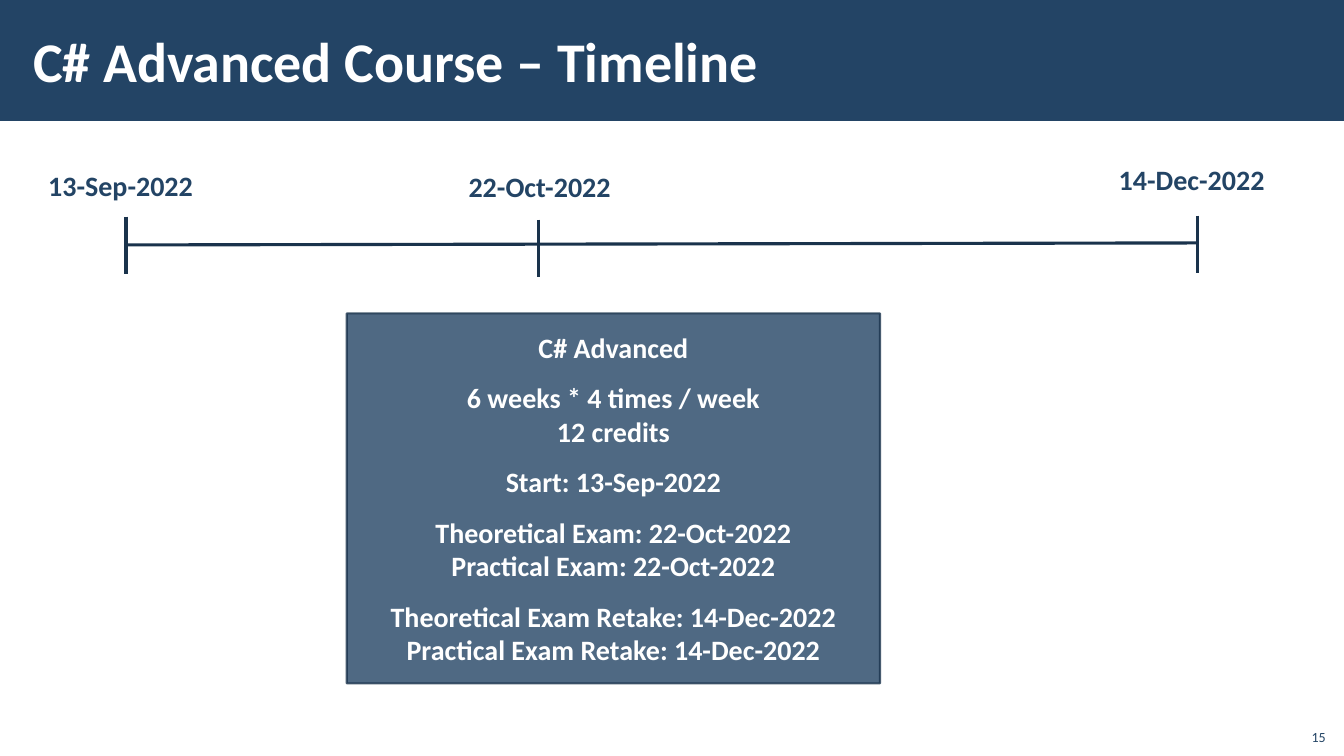
"""Build the course timeline slide."""
from dataclasses import dataclass

from lxml.etree import SubElement
from pptx import Presentation
from pptx.dml.color import RGBColor
from pptx.enum.shapes import MSO_CONNECTOR, MSO_SHAPE
from pptx.enum.text import MSO_ANCHOR, MSO_AUTO_SIZE, PP_ALIGN
from pptx.oxml.ns import qn
from pptx.shapes.autoshape import Shape
from pptx.slide import Slide
from pptx.text.text import TextFrame
from pptx.util import Inches, Length, Pt

NAVY = RGBColor(0x23, 0x44, 0x65)
DARK_NAVY = RGBColor(0x1A, 0x33, 0x4C)
WHITE = RGBColor(0xFF, 0xFF, 0xFF)

COLUMNS, ROWS = 133.33, 75
CELL = Inches(0.1)
TICK_HEIGHT = 5.65
LABEL_HEIGHT = 4.4
OPACITY = 80

TITLE_FONT = {"name": "Calibri", "size": Pt(40), "bold": True}
BODY_FONT = {"name": "Calibri", "size": Pt(20), "bold": True}
NUMBER_FONT = {"name": "Calibri", "size": Pt(10), "bold": False}
TITLE_FRAME = {"vertical_anchor": MSO_ANCHOR.MIDDLE, "word_wrap": True,
               "auto_size": MSO_AUTO_SIZE.NONE,
               "margin_left": Inches(0.12), "margin_right": Inches(0.12),
               "margin_top": Inches(0.04), "margin_bottom": Inches(0.04)}
LABEL_FRAME = {"word_wrap": True, "auto_size": MSO_AUTO_SIZE.SHAPE_TO_FIT_TEXT}
CARD_FRAME = {"word_wrap": True, "vertical_anchor": MSO_ANCHOR.MIDDLE}
NUMBER_FRAME = {"word_wrap": True, "vertical_anchor": MSO_ANCHOR.BOTTOM}


@dataclass(frozen=True)
class Area:
    """A rectangle in grid columns and rows."""
    column: float
    row: float
    width: float
    height: float

    def lengths(self) -> tuple[Length, ...]:
        """Return left, top, width and height."""
        return tuple(grid(value) for value in
                     (self.column, self.row, self.width, self.height))


@dataclass(frozen=True)
class Milestone:
    """A date with its label area and its tick on the axis."""
    date: str
    label: Area
    tick_column: float
    tick_row: float


MILESTONES = (
    Milestone("13-Sep-2022", Area(3.8, 16.2, 17.4, LABEL_HEIGHT), 12.5, 21.5),
    Milestone("22-Oct-2022", Area(45.5, 16.3, 24.1, LABEL_HEIGHT), 53.4, 21.8),
    Milestone("14-Dec-2022", Area(110, 15.6, 20.6, LABEL_HEIGHT), 118.8, 21.4),
)
COURSE_GROUPS = (
    ("C# Advanced",),
    ("6 weeks * 4 times / week", "12 credits"),
    ("Start: 13-Sep-2022",),
    ("Theoretical Exam: 22-Oct-2022", "Practical Exam: 22-Oct-2022"),
    ("Theoretical Exam Retake: 14-Dec-2022", "Practical Exam Retake: 14-Dec-2022"),
)


def grid(cells: float) -> Length:
    """Convert grid cells to a length."""
    return Length(round(cells * CELL))


def apply_format(target: object, values: dict) -> None:
    """Set every attribute in the format values."""
    for name, value in values.items():
        setattr(target, name, value)


def write_groups(frame: TextFrame, groups: tuple[tuple[str, ...], ...], frame_format: dict,
                 font: dict, color: RGBColor, alignment: PP_ALIGN = PP_ALIGN.LEFT) -> None:
    """Write groups of lines with a gap before each later group."""
    apply_format(frame, frame_format)
    lines = [(text, group > 0 and line == 0)
             for group, texts in enumerate(groups) for line, text in enumerate(texts)]
    for index, (text, gap) in enumerate(lines):
        paragraph = frame.add_paragraph() if index else frame.paragraphs[0]
        apply_format(paragraph, {"alignment": alignment, "space_before": Pt(12 if gap else 0)})
        run = paragraph.add_run()
        run.text = text
        apply_format(run.font, font)
        run.font.color.rgb = color


def add_rectangle(slide: Slide, area: Area) -> Shape:
    """Add a navy rectangle without a shadow."""
    rectangle = slide.shapes.add_shape(MSO_SHAPE.RECTANGLE, *area.lengths())
    rectangle.shadow.inherit = False
    rectangle.fill.solid()
    rectangle.fill.fore_color.rgb = NAVY
    return rectangle


def add_title(slide: Slide, text: str) -> None:
    """Add the header band behind the title placeholder."""
    band = add_rectangle(slide, Area(0, 0, COLUMNS, 12))
    band.line.fill.background()
    title = slide.shapes.title
    title._element.addprevious(band._element)
    position = Area(2.1, 1.1, 106.3, 9.7).lengths()
    apply_format(title, dict(zip(("left", "top", "width", "height"), position)))
    write_groups(title.text_frame, ((text,),), TITLE_FRAME, TITLE_FONT, WHITE)


def add_label(slide: Slide, area: Area, text: str, frame_format: dict, font: dict,
              alignment: PP_ALIGN = PP_ALIGN.LEFT) -> None:
    """Add a navy one-line label."""
    label = slide.shapes.add_textbox(*area.lengths())
    write_groups(label.text_frame, ((text,),), frame_format, font, NAVY, alignment)


def add_line(slide: Slide, *ends: float) -> None:
    """Add a straight line between two grid points."""
    line = slide.shapes.add_connector(MSO_CONNECTOR.STRAIGHT, *map(grid, ends))
    line.line.color.rgb = DARK_NAVY
    line.line.width = Pt(2.25)
    SubElement(line._element.spPr, qn("a:effectLst"))


def add_course_card(slide: Slide) -> None:
    """Add the translucent card with the course details."""
    card = add_rectangle(slide, Area(34.4, 31.1, 52.9, 36.7))
    card.line.color.rgb = DARK_NAVY
    card.line.width = Pt(1.5)
    for color in card._element.spPr.iter(qn("a:srgbClr")):
        SubElement(color, qn("a:alpha"), val=str(OPACITY * 1000))
    write_groups(card.text_frame, COURSE_GROUPS, CARD_FRAME, BODY_FONT, WHITE, PP_ALIGN.CENTER)


def add_timeline(slide: Slide) -> None:
    """Add the axis and its milestones."""
    add_line(slide, MILESTONES[0].tick_column, 24.3, MILESTONES[-1].tick_column, 24.1)
    for milestone in MILESTONES:
        column, row = milestone.tick_column, milestone.tick_row
        add_line(slide, column, row, column, row + TICK_HEIGHT)
        add_label(slide, milestone.label, milestone.date, LABEL_FRAME, BODY_FONT)


def main() -> None:
    """Build and save the presentation."""
    presentation = Presentation()
    presentation.slide_width = grid(COLUMNS)
    presentation.slide_height = grid(ROWS)
    slide = presentation.slides.add_slide(presentation.slide_layouts.get_by_name("Title Only"))
    add_title(slide, "C# Advanced Course – Timeline")
    add_course_card(slide)
    add_timeline(slide)
    add_label(slide, Area(128.5, 71.2, 4, 3.2), "15", NUMBER_FRAME, NUMBER_FONT, PP_ALIGN.RIGHT)
    presentation.save("out.pptx")


if __name__ == "__main__":
    main()
